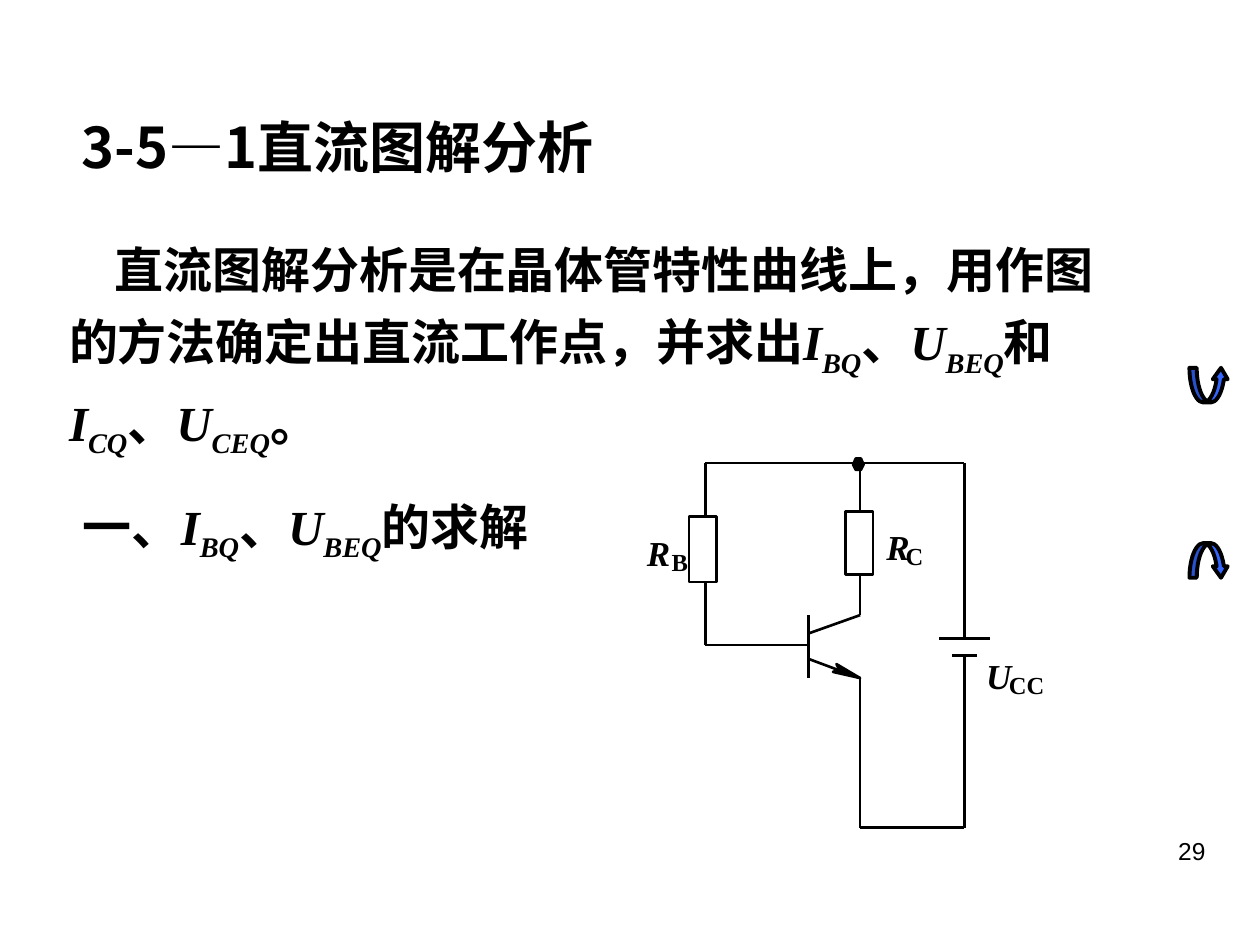
from pptx import Presentation
from pptx.dml.color import RGBColor
from pptx.enum.shapes import MSO_CONNECTOR, MSO_SHAPE
from pptx.enum.text import MSO_AUTO_SIZE, PP_ALIGN
from pptx.oxml.ns import qn
from pptx.util import Pt

STRAIGHT = MSO_CONNECTOR.STRAIGHT
RECTANGLE = MSO_SHAPE.RECTANGLE
CURVED_UP = MSO_SHAPE.CURVED_UP_ARROW
CURVED_DOWN = MSO_SHAPE.CURVED_DOWN_ARROW
NO_RESIZE = MSO_AUTO_SIZE.NONE
LEFT, CENTER, RIGHT = PP_ALIGN.LEFT, PP_ALIGN.CENTER, PP_ALIGN.RIGHT

CHINESE = "Noto Sans CJK SC"
SERIF = "Times New Roman"
BLACK, WHITE, BLUE = "000000", "FFFFFF", "3366FF"


def color(value):
    return RGBColor.from_string(value)


def add_run(paragraph, text, size=28, font=CHINESE, bold=True, italic=False,
            subscript=False):
    run = paragraph.add_run()
    run.text = text
    run.font.size = Pt(size)
    run.font.name = font
    run.font.bold = bold
    run.font.italic = italic
    run.font.color.rgb = color(BLACK)
    properties = run.font._element
    if subscript:
        properties.set("baseline", "-25000")
    east_asian = properties.makeelement(qn("a:ea"), {"typeface": CHINESE})
    properties.find(qn("a:latin")).addnext(east_asian)


def add_symbol(paragraph, letter, index):
    add_run(paragraph, letter, font=SERIF, italic=True)
    add_run(paragraph, index, font=SERIF, italic=True, subscript=True)


def add_text_box(slide, left, top, width, height, align=LEFT, wrap=True,
                 margins=(7.2, 3.6)):
    """Add an empty text box and return its first paragraph."""
    box = slide.shapes.add_textbox(Pt(left), Pt(top), Pt(width), Pt(height))
    frame = box.text_frame
    frame.word_wrap = wrap
    frame.auto_size = NO_RESIZE
    frame.margin_left = frame.margin_right = Pt(margins[0])
    frame.margin_top = frame.margin_bottom = Pt(margins[1])
    paragraph = frame.paragraphs[0]
    paragraph.alignment = align
    return paragraph


def add_label(slide, left, top, width, text, **style):
    paragraph = add_text_box(slide, left, top, width, 24, align=CENTER,
                             wrap=False, margins=(0, 0))
    add_run(paragraph, text, font=SERIF, **style)


def add_wire(slide, x1, y1, x2, y2):
    wire = slide.shapes.add_connector(STRAIGHT, Pt(x1), Pt(y1), Pt(x2), Pt(y2))
    wire.line.width = Pt(1.5)
    wire.line.color.rgb = color(BLACK)
    properties = wire._element.spPr
    properties.append(properties.makeelement(qn("a:effectLst"), {}))


def paint(shape, fill, line_width=1.5):
    shape.shadow.inherit = False
    shape.fill.solid()
    shape.fill.fore_color.rgb = color(fill)
    shape.line.color.rgb = color(BLACK)
    shape.line.width = Pt(line_width)


def add_preset(slide, kind, left, top, width, height, fill, line_width=1.5):
    shape = slide.shapes.add_shape(kind, Pt(left), Pt(top), Pt(width), Pt(height))
    paint(shape, fill, line_width)
    return shape


def add_polygon(slide, points):
    corners = [(Pt(x), Pt(y)) for x, y in points]
    builder = slide.shapes.build_freeform(*corners[0], scale=1.0)
    builder.add_line_segments(corners[1:], close=True)
    paint(builder.convert_to_shape(), BLACK)


def add_navigation_arrows(slide):
    for kind, top in ((CURVED_DOWN, 310.3), (CURVED_UP, 210.2)):
        arrow = add_preset(slide, kind, 679.7, top, 22.3, 19.8, BLUE, 2.25)
        for number, value in enumerate((0.21, 0.43, 0.33)):
            arrow.adjustments[number] = value


def add_texts(slide):
    # Page number
    paragraph = add_text_box(slide, 516, 474, 180, 37, align=RIGHT)
    add_run(paragraph, "29", size=14, font="Arial", bold=False)

    # Title
    paragraph = add_text_box(slide, 39.5, 60.5, 357, 46)
    add_run(paragraph, "3-5―1直流图解分析", size=32)

    # Explanation
    paragraph = add_text_box(slide, 32.4, 126.7, 626.5, 140)
    paragraph.line_spacing = 1.2
    paragraph._p.get_or_add_pPr().set("indent", str(Pt(26)))
    add_run(paragraph, "直流图解分析是在晶体管特性曲线上，用作图的方法确定出直流工作点，并求出")
    for letter, index, ending in (("I", "BQ", "、"), ("U", "BEQ", "和"),
                                  ("I", "CQ", "、"), ("U", "CEQ", "。")):
        add_symbol(paragraph, letter, index)
        add_run(paragraph, ending)

    # Section heading
    paragraph = add_text_box(slide, 40.3, 280, 294, 79)
    add_run(paragraph, "一、")
    add_symbol(paragraph, "I", "BQ")
    add_run(paragraph, "、")
    add_symbol(paragraph, "U", "BEQ")
    add_run(paragraph, "的求解")


def add_circuit(slide):
    left, base, collector, supply = 403, 462, 491.5, 551
    top, input_level, bottom = 264.5, 368.5, 473
    upper, lower = 351.5, 387.5
    long_plate, short_plate = 365, 374.5

    # Wires, transistor and battery
    for ends in (
        (left, top, supply, top),
        (left, top, left, input_level),
        (left, input_level, base, input_level),
        (collector, top, collector, upper),
        (collector, lower, collector, bottom),
        (collector, bottom, supply, bottom),
        (supply, top, supply, long_plate),
        (supply, short_plate, supply, bottom),
        (base, upper, base, lower),
        (base, 362, collector, upper),
        (base, 376.5, collector, lower),
        (supply - 14.5, long_plate, supply + 15, long_plate),
        (supply - 7, short_plate, supply + 7, short_plate),
    ):
        add_wire(slide, *ends)

    # Emitter arrowhead and junction dot
    add_polygon(slide, [(476, 384), (479.5, 382.5), (478, 379.5), (collector, lower)])
    add_polygon(slide, [(487.5, 265.5), (489, 262), (492, 262),
                        (493.5, 265.5), (492, 268.5), (489, 268.5)])

    # Resistors
    add_preset(slide, RECTANGLE, 393.8, 295.2, 15.8, 37.4, WHITE)
    add_preset(slide, RECTANGLE, 483.1, 292.3, 15.8, 36, WHITE)

    # Names with their indices
    for letter, x, y, index, index_x, index_width in (
        ("R", 369.4, 303.6, "B", 383.6, 9.6),
        ("R", 506.2, 300.4, "C", 517.4, 10.4),
        ("U", 563.8, 374, "CC", 576.5, 20.4),
    ):
        add_label(slide, x, y, 14, letter, size=20, italic=True)
        add_label(slide, index_x, y + 9, index_width, index, size=14)


def main():
    presentation = Presentation()
    presentation.slide_width, presentation.slide_height = Pt(720), Pt(540)
    slide = presentation.slides.add_slide(presentation.slide_layouts[6])
    add_navigation_arrows(slide)
    add_texts(slide)
    add_circuit(slide)
    presentation.save("out.pptx")


if __name__ == "__main__":
    main()
